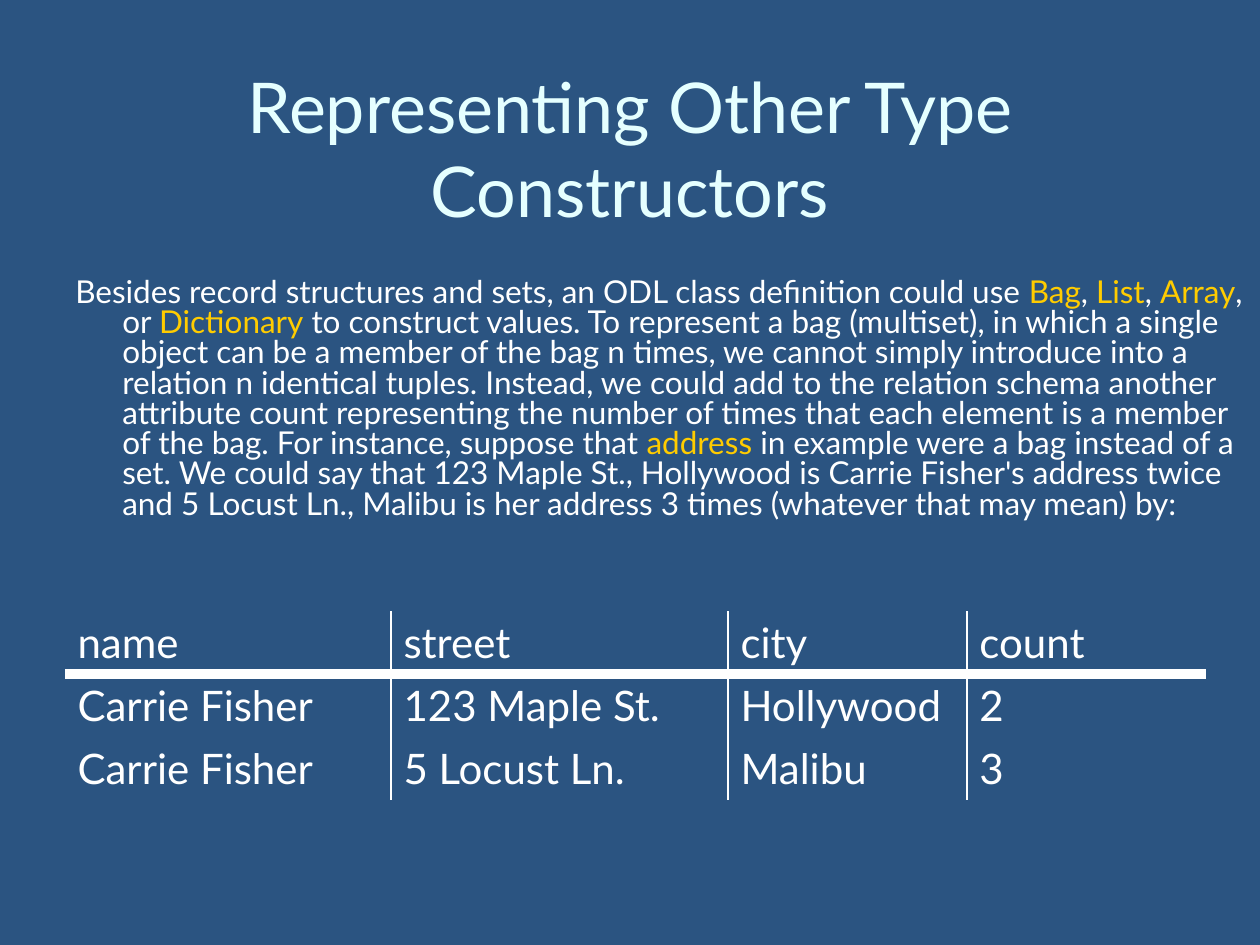
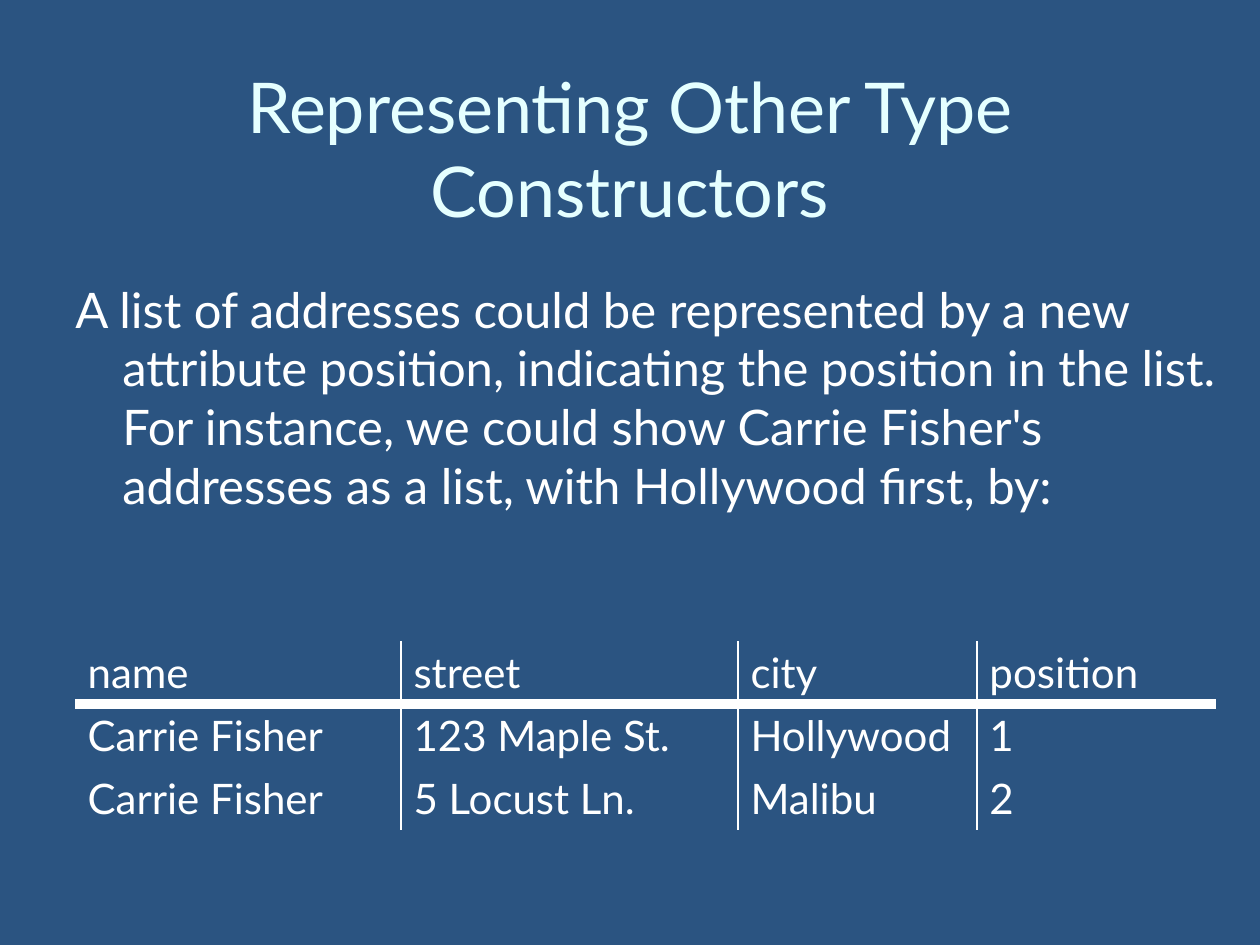
"""Build two slides on representing bags and lists as relations."""
from lxml import etree
from pptx import Presentation
from pptx.dml.color import RGBColor
from pptx.enum.text import MSO_ANCHOR, PP_ALIGN
from pptx.oxml.ns import qn
from pptx.util import Pt

PX = 914400 // 126
TOP, MIDDLE = MSO_ANCHOR.TOP, MSO_ANCHOR.MIDDLE
LEFT, CENTER = PP_ALIGN.LEFT, PP_ALIGN.CENTER

FONT = "Lato"
BACKGROUND, TITLE_COLOR, WHITE, GOLD = "2B5481", "E5FFFF", "FFFFFF", "FFCC00"
TITLE = "Representing Other Type Constructors"
TITLE_BOX = (63, 53, 1134, 189)
HANGING_INDENT = 47
COLUMN_WIDTHS = (326, 337, 239, 239)
ROW_HEIGHT = 63
THIN, THICK = 1, 6

SLIDES = [
    {
        "body_box": (63, 273, 1197, 299),
        "size": 18,
        "line_spacing": 0.8,
        "body": [
            ("Besides record structures and sets, an ODL class definition could use ", WHITE),
            ("Bag", GOLD), (", ", WHITE), ("List", GOLD), (", ", WHITE), ("Array", GOLD),
            (", or ", WHITE), ("Dictionary", GOLD),
            (" to construct values. To represent a bag (multiset), in which a single object "
             "can be a member of the bag n times, we cannot simply introduce into a relation "
             "n identical tuples. Instead, we could add to the relation schema another "
             "attribute count representing the number of times that each element is a member "
             "of the bag. For instance, suppose that ", WHITE),
            ("address", GOLD),
            (" in example were a bag instead of a set. We could say that 123 Maple St., "
             "Hollywood is Carrie Fisher's address twice and 5 Locust Ln., Malibu is her "
             "address 3 times (whatever that may mean) by:", WHITE),
        ],
        "table_corner": (65, 611),
        "rows": [
            ("name", "street", "city", "count"),
            ("Carrie Fisher", "123 Maple St.", "Hollywood", "2"),
            ("Carrie Fisher", "5 Locust Ln.", "Malibu", "3"),
        ],
    },
    {
        "body_box": (63, 273, 1172, 289),
        "size": 28,
        "line_spacing": 1.0,
        "body": [
            ("A list of addresses could be represented by a new attribute position, "
             "indicating the position in the list. For instance, we could show Carrie "
             "Fisher's addresses as a list, with Hollywood first, by:", WHITE),
        ],
        "table_corner": (75, 641),
        "rows": [
            ("name", "street", "city", "position"),
            ("Carrie Fisher", "123 Maple St.", "Hollywood", "1"),
            ("Carrie Fisher", "5 Locust Ln.", "Malibu", "2"),
        ],
    },
]


def color(value):
    return RGBColor.from_string(value)


def emu(lengths):
    return [length * PX for length in lengths]


def write_runs(paragraph, runs, size):
    for text, run_color in runs:
        run = paragraph.add_run()
        run.text = text
        for name, value in {"name": FONT, "size": Pt(size)}.items():
            setattr(run.font, name, value)
        run.font.color.rgb = color(run_color)


def add_text(slide, box, runs, size, anchor, paragraph_format):
    frame = slide.shapes.add_textbox(*emu(box)).text_frame
    frame.word_wrap = True
    frame.vertical_anchor = anchor
    paragraph = frame.paragraphs[0]
    for name, value in paragraph_format.items():
        setattr(paragraph, name, value)
    write_runs(paragraph, runs, size)
    return paragraph


def set_border(cell, side, width):
    properties = cell._tc.get_or_add_tcPr()
    line = etree.SubElement(properties, qn("a:ln" + side), w=str(Pt(width)))
    if width:
        fill = etree.SubElement(line, qn("a:solidFill"))
        etree.SubElement(fill, qn("a:srgbClr"), val=WHITE)
    else:
        etree.SubElement(line, qn("a:noFill"))


def add_relation(slide, corner, rows):
    size = (sum(COLUMN_WIDTHS), ROW_HEIGHT * len(rows))
    table = slide.shapes.add_table(len(rows), len(COLUMN_WIDTHS), *emu(corner + size)).table
    table.first_row = table.horz_banding = False
    for column, width in zip(table.columns, COLUMN_WIDTHS):
        column.width = width * PX
    last_column = len(COLUMN_WIDTHS) - 1
    for row_index, row in enumerate(rows):
        table.rows[row_index].height = ROW_HEIGHT * PX
        for column_index, text in enumerate(row):
            cell = table.cell(row_index, column_index)
            borders = {
                "L": THIN if column_index > 0 else 0,
                "R": THIN if column_index < last_column else 0,
                "T": THICK if row_index == 1 else 0,
                "B": THICK if row_index == 0 else 0,
            }
            for side, width in borders.items():
                set_border(cell, side, width)
            cell.fill.background()
            write_runs(cell.text_frame.paragraphs[0], [(text, WHITE)], 24)


def add_slide(presentation, content):
    slide = presentation.slides.add_slide(presentation.slide_layouts[6])
    slide.background.fill.solid()
    slide.background.fill.fore_color.rgb = color(BACKGROUND)
    add_text(slide, TITLE_BOX, [(TITLE, TITLE_COLOR)], 40, MIDDLE, {"alignment": CENTER})
    body_format = {"alignment": LEFT, "line_spacing": content["line_spacing"]}
    body = add_text(slide, content["body_box"], content["body"], content["size"], TOP, body_format)
    properties = body._p.get_or_add_pPr()
    properties.set("marL", str(HANGING_INDENT * PX))
    properties.set("indent", str(-HANGING_INDENT * PX))
    add_relation(slide, content["table_corner"], content["rows"])


def main():
    presentation = Presentation()
    presentation.slide_width, presentation.slide_height = emu((1260, 945))
    for content in SLIDES:
        add_slide(presentation, content)
    presentation.save("out.pptx")


if __name__ == "__main__":
    main()
